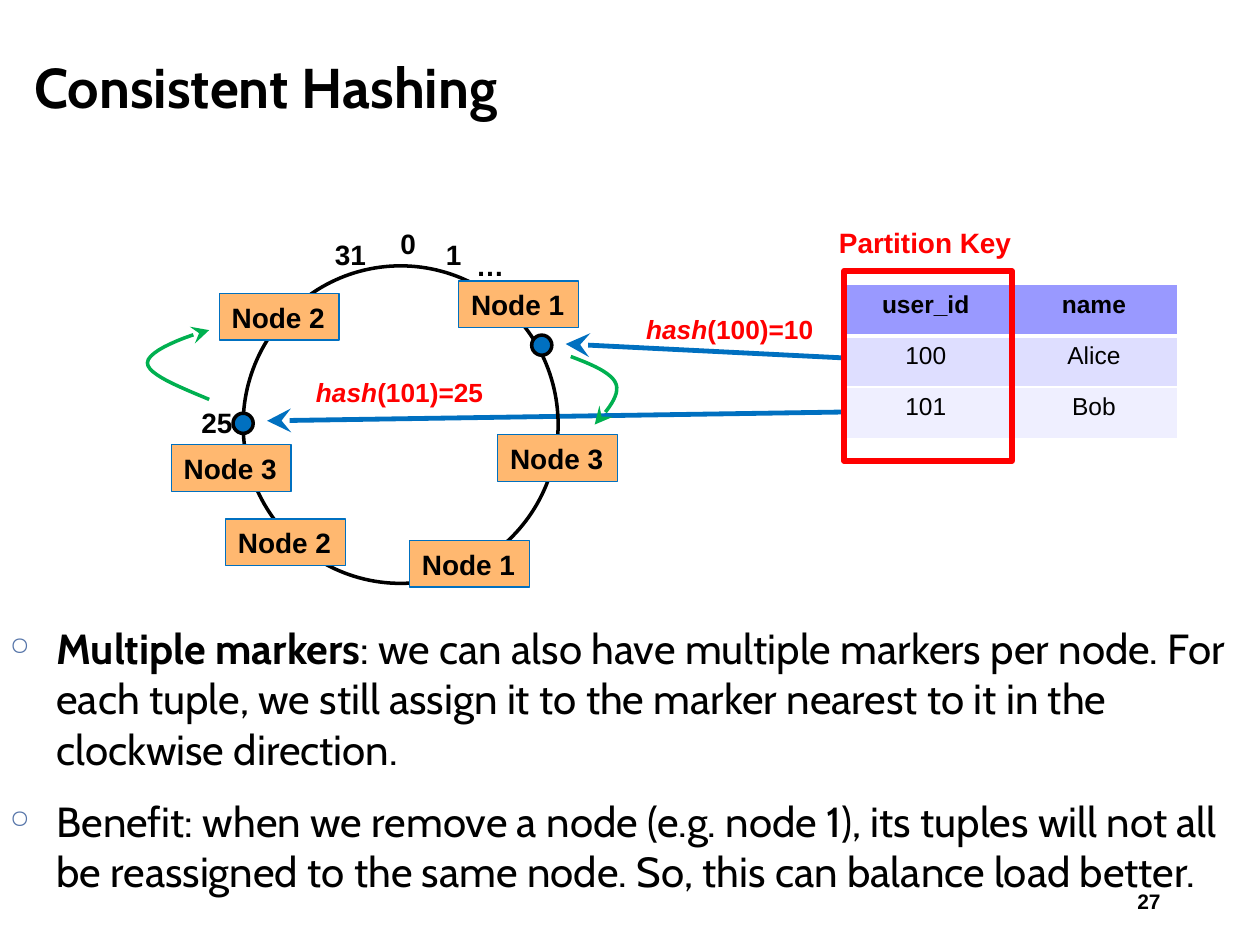
from pptx import Presentation
from pptx.dml.color import RGBColor
from pptx.enum import shapes, text
from pptx.oxml import ns, xmlchemy as xc
from pptx.util import Inches, Pt

THEME = {
    "black": "000000", "red": "FF0000", "blue": "0070C0", "green": "00B050",
    "node": "FFB870", "bullet": "5675A9", "edge": "FFFFFF",
    "rows": ["9999FF", "DEDEFF", "EFEFFF"],
    "head": "Cabin", "label": "Arial",
    "title": 32, "body": 24, "mark": 16, "hash": 15, "cell": 14, "page": 12,
}
KIND = shapes.MSO_SHAPE
LEFT, MID, RIGHT = text.PP_ALIGN.LEFT, text.PP_ALIGN.CENTER, text.PP_ALIGN.RIGHT


def write(para, *runs, size="mark", color="black", font="label", bold=True, align=LEFT):
    """Fill a paragraph; a run is a string or (string, {font attribute: value})."""
    para.alignment = align
    for part in runs:
        words, extra = (part, {}) if isinstance(part, str) else part
        run = para.add_run()
        run.text = words
        run.font.name = THEME[font]
        run.font.size = Pt(THEME[size])
        run.font.bold = bold
        run.font.color.rgb = RGBColor.from_string(THEME[color])
        for name, value in extra.items():
            setattr(run.font, name, value)


def stroke(shape, color, width, arrow=False):
    """Set the outline, drop the shadow and add an arrowhead if asked."""
    shape.line.color.rgb = RGBColor.from_string(THEME[color])
    shape.line.width = Pt(width)
    props = shape._element.spPr
    if arrow:
        tail = xc.OxmlElement("a:tailEnd")
        for name, value in (("type", "stealth"), ("w", "lg"), ("len", "lg")):
            tail.set(name, value)
        props.find(ns.qn("a:ln")).append(tail)
    props.append(xc.OxmlElement("a:effectLst"))


prs = Presentation()
prs.slide_width, prs.slide_height = Inches(10), Inches(7.5)
slide = prs.slides.add_slide(prs.slide_layouts[5])
draw = slide.shapes

# Title
title = draw.title
title.left, title.top, title.width, title.height = map(Inches, (0.17, 0.12, 9.5, 1.12))
title.text_frame.vertical_anchor = text.MSO_ANCHOR.MIDDLE
write(title.text_frame.paragraphs[0], "Consistent Hashing", size="title", font="head")

# Page number
page = draw.add_textbox(*map(Inches, (7.06, 6.95, 2.25, 0.4))).text_frame
page.word_wrap = True
page.vertical_anchor = text.MSO_ANCHOR.MIDDLE
write(page.paragraphs[0], "27", size="page", align=RIGHT)

# Bullets
body = draw.add_textbox(*map(Inches, (-0.02, 4.89, 10.02, 2.61))).text_frame
body.word_wrap = True
points = [
    [("Multiple markers", {"bold": True}),
     ": we can also have multiple markers per node. For each tuple, we still assign it "
     "to the marker nearest to it in the clockwise direction."],
    ["Benefit: when we remove a node (e.g. node 1), its tuples will not all be "
     "reassigned to the same node. So, this can balance load better."],
]
for i, runs in enumerate(points):
    para = body.add_paragraph() if i else body.paragraphs[0]
    props = para._p.get_or_add_pPr()
    props.set("marL", str(Inches(0.37)))
    props.set("indent", str(-Inches(0.37)))
    tint = xc.OxmlElement("a:buClr")
    shade = xc.OxmlElement("a:srgbClr")
    shade.set("val", THEME["bullet"])
    tint.append(shade)
    scale = xc.OxmlElement("a:buSzPct")
    scale.set("val", "60000")
    sign = xc.OxmlElement("a:buChar")
    sign.set("char", "○")
    for item in (tint, scale, sign):
        props.append(item)
    para.space_after = Pt(12.5)
    write(para, *runs, size="body", font="head", bold=False)

# Table of users
users = [["user_id", "name"], ["100", "Alice"], ["101", "Bob"]]
table = draw.add_table(3, 2, *map(Inches, (6.68, 2.26, 2.67, 1.22))).table
table.first_row = table.horz_banding = False
for r, row in enumerate(users):
    for c, word in enumerate(row):
        cell = table.cell(r, c)
        props = cell._tc.get_or_add_tcPr()
        for side in "LRTB":
            thick = (r, side) in ((0, "B"), (1, "T"))
            edge = xc.OxmlElement("a:ln" + side)
            edge.set("w", str(Pt(3 if thick else 1)))
            fill = xc.OxmlElement("a:solidFill")
            shade = xc.OxmlElement("a:srgbClr")
            shade.set("val", THEME["edge"])
            fill.append(shade)
            edge.append(fill)
            props.append(edge)
        cell.fill.solid()
        cell.fill.fore_color.rgb = RGBColor.from_string(THEME["rows"][r])
        write(cell.text_frame.paragraphs[0], word, size="cell", bold=r == 0, align=MID)

# Arrows from the rows to the ring
for ends in [(6.68, 2.84, 4.49, 2.73), (6.71, 3.27, 2.12, 3.34)]:
    line = draw.add_connector(shapes.MSO_CONNECTOR.STRAIGHT, *map(Inches, ends))
    stroke(line, "blue", 2.75, arrow=True)

# Ring
ring = draw.add_shape(KIND.OVAL, *map(Inches, (1.93, 2.11, 2.5, 2.52)))
ring.fill.background()
stroke(ring, "black", 2)

# Labels
italic = ("hash", {"italic": True})
labels = [
    (6.56, 1.74, 1.59, ["Partition Key"], "mark", "red"),
    (5.03, 2.44, 1.54, [italic, "(100)=10"], "hash", "red"),
    (2.41, 2.94, 1.54, [italic, "(101)=25"], "hash", "red"),
    (3.08, 1.75, 0.33, ["0"], "mark", "black"),
    (3.44, 1.84, 0.33, ["1"], "mark", "black"),
    (3.68, 1.92, 0.43, ["…"], "mark", "black"),
    (2.56, 1.84, 0.45, ["31"], "mark", "black"),
    (1.5, 3.17, 0.45, ["25"], "mark", "black"),
]
for x, y, wide, runs, size, color in labels:
    frame = draw.add_textbox(*map(Inches, (x, y, wide, 0.37))).text_frame
    frame.word_wrap = False
    write(frame.paragraphs[0], *runs, size=size, color=color)

# Hashed keys on the ring
for x, y in [(4.22, 2.66), (1.85, 3.28)]:
    dot = draw.add_shape(KIND.OVAL, *map(Inches, (x, y, 0.16, 0.16)))
    dot.fill.solid()
    dot.fill.fore_color.rgb = RGBColor.from_string(THEME["blue"])
    stroke(dot, "black", 2)

# Clockwise arrows: chains of cubic curves, three points for each after the start
curves = [
    [(1.66, 3.17), (1.42, 3.07), (1.17, 2.97), (1.17, 2.88), (1.17, 2.78),
     (1.5, 2.66), (1.66, 2.62)],
    [(4.53, 2.83), (4.69, 2.89), (4.86, 2.96), (4.89, 3.05), (4.92, 3.14),
     (4.82, 3.26), (4.72, 3.37)],
]
STEPS = 12
for knots in curves:
    spots = []
    for k in range(0, len(knots) - 1, 3):
        for t in [n / STEPS for n in range(1, STEPS + 1)]:
            parts = ((1 - t) ** 3, 3 * t * (1 - t) ** 2, 3 * t * t * (1 - t), t ** 3)
            spots.append([Inches(sum(w * p[axis] for w, p in zip(parts, knots[k:k + 4])))
                          for axis in (0, 1)])
    pen = draw.build_freeform(*map(Inches, knots[0]))
    pen.add_line_segments(spots, close=False)
    curve = pen.convert_to_shape()
    curve.fill.background()
    stroke(curve, "green", 2, arrow=True)

# Frame around the partition key
key = draw.add_shape(KIND.RECTANGLE, *map(Inches, (6.7, 2.15, 1.33, 1.51)))
key.fill.background()
stroke(key, "red", 3.25)

# Node markers
nodes = [(3.25, 4.29, 1), (1.74, 2.33, 2), (3.95, 3.45, 3),
         (3.64, 2.23, 1), (1.79, 4.12, 2), (1.36, 3.53, 3)]
for x, y, number in nodes:
    node = draw.add_shape(KIND.RECTANGLE, *map(Inches, (x, y, 0.95, 0.37)))
    node.fill.solid()
    node.fill.fore_color.rgb = RGBColor.from_string(THEME["node"])
    stroke(node, "blue", 0.75)
    node.text_frame.word_wrap = False
    write(node.text_frame.paragraphs[0], f"Node {number}")

prs.save("out.pptx")
